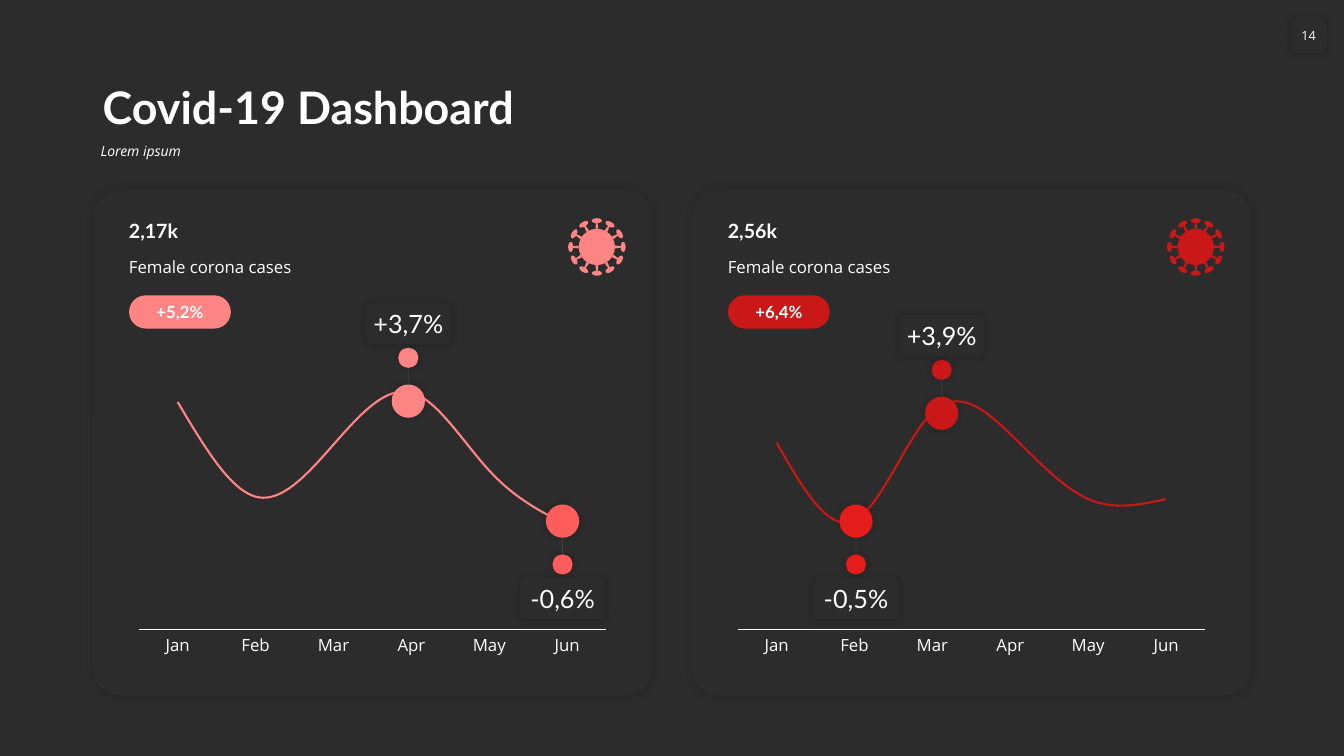
from math import cos, radians, sin

from lxml.etree import SubElement
from pptx import Presentation
from pptx.chart.data import CategoryChartData
from pptx.dml.color import RGBColor
from pptx.enum.chart import XL_CHART_TYPE as Chart, XL_TICK_MARK as Tick
from pptx.enum.shapes import MSO_CONNECTOR as Link, MSO_SHAPE as Kind
from pptx.enum.text import MSO_ANCHOR as Anchor, PP_ALIGN as Align
from pptx.oxml import parse_xml
from pptx.oxml.ns import nsdecls, qn
from pptx.util import Inches, Pt

DARK = RGBColor(0x2C, 0x2C, 0x2C)
WHITE = RGBColor(0xFF, 0xFF, 0xFF)
PINK = RGBColor(0xFF, 0x85, 0x85)
CORAL = RGBColor(0xFF, 0x5C, 0x5C)
RED = RGBColor(0xCA, 0x18, 0x18)
SCARLET = RGBColor(0xE4, 0x1C, 0x1C)
HEAD, BODY = "Lato", "Open Sans"
GLOW = {"alpha": 20, "blur": 5, "dist": 0}
SOFT = {"alpha": 15, "blur": 6, "dist": 1}
MONTHS = ["Jan", "Feb", "Mar", "Apr", "May", "Jun"]
CARDS = [
    {"left": 0.92, "total": "2,17k", "rate": "+5,2%", "color": PINK, "top": 110,
     "values": [96, 56, 78, 100, 67, 44],
     "marks": [(4.05, 3.98, -1, "+3,7%", PINK), (5.58, 5.17, 1, "-0,6%", CORAL)]},
    {"left": 6.86, "total": "2,56k", "rate": "+6,4%", "color": RED, "top": 120,
     "values": [86, 50, 100, 90, 60, 60],
     "marks": [(9.34, 4.1, -1, "+3,9%", RED), (8.49, 5.17, 1, "-0,5%", SCARLET)]},
]


def style(item, **values):
    """Set each named format value on the item."""
    for name, value in values.items():
        setattr(item, name, value)


def write(shape, text, size, face, frame=None, para=None, **font):
    """Put one formatted line of text in a shape."""
    area = shape.text_frame
    style(area, **{"word_wrap": True, **(frame or {})})
    line = area.paragraphs[0]
    style(line, **(para or {}))
    run = line.add_run()
    run.text = text
    style(run.font, size=Pt(size), name=face, **font)
    run.font.color.rgb = WHITE


def label(slide, box, *args, **kwargs):
    """Add a text box."""
    write(slide.shapes.add_textbox(*map(Inches, box)), *args, **kwargs)


def center(slide, shape, text, size, face, side=0.0, edge=0.0, **font):
    """Write centred text with the given insets."""
    frame = {"vertical_anchor": Anchor.MIDDLE,
             "margin_left": Inches(side), "margin_right": Inches(side),
             "margin_top": Inches(edge), "margin_bottom": Inches(edge)}
    write(shape, text, size, face, frame, {"alignment": Align.CENTER}, **font)


def block(shapes, kind, box, color, adj=None, shade=None, turn=0):
    """Add a filled shape without outline."""
    shape = shapes.add_shape(kind, *map(Inches, box))
    shape.fill.solid()
    shape.fill.fore_color.rgb = color
    shape.line.fill.background()
    shape.shadow.inherit = False
    shape.rotation = turn
    if adj is not None:
        shape.adjustments[0] = adj
    if shade:
        cast = SubElement(shape.element.spPr.find(qn("a:effectLst")), qn("a:outerShdw"),
                          blurRad=str(Pt(shade["blur"])), dist=str(Pt(shade["dist"])),
                          dir=str(45 * 60000), algn="ctr", rotWithShape="0")
        tone = SubElement(cast, qn("a:srgbClr"), val="000000")
        SubElement(tone, qn("a:alpha"), val=str(shade["alpha"] * 1000))
    return shape


def mid(x, y, wide, high):
    """Return the box around a centre point."""
    return x - wide / 2, y - high / 2, wide, high


def stem(slide, x, start, end):
    """Add a faint vertical line."""
    line = slide.shapes.add_connector(Link.STRAIGHT, *map(Inches, (x, start, x, end)))
    line.line.width = Pt(0.5)
    line.line.color.rgb = WHITE
    props = line.element.spPr
    SubElement(next(props.iter(qn("a:srgbClr"))), qn("a:alpha"), val="10000")
    SubElement(props, qn("a:effectLst"))


def mark(slide, x, y, way, text, color):
    """Add a marked point with its value above or below."""
    block(slide.shapes, Kind.OVAL, mid(x, y, 0.33, 0.33), color, shade=GLOW)
    stem(slide, x, y + way * 0.17, y + way * 0.33)
    block(slide.shapes, Kind.OVAL, mid(x, y + way * 0.43, 0.2, 0.2), color, shade=GLOW)
    tag = block(slide.shapes, Kind.ROUNDED_RECTANGLE,
                mid(x, y + way * 0.77, 0.85, 0.41), DARK, shade=GLOW)
    center(slide, tag, text, 18, HEAD, 0.04, 0.05)


def curve(slide, left, values, top, color):
    """Add a smooth line chart of the months."""
    data = CategoryChartData()
    data.categories = MONTHS
    data.add_series("Series 1", values)
    box = map(Inches, (left, 3.6, 4.83, 2.97))
    chart = slide.shapes.add_chart(Chart.LINE, *box, data).chart
    style(chart, has_legend=False, has_title=False)
    style(chart.font, size=Pt(12), name=BODY)
    chart.font.color.rgb = WHITE
    style(chart.value_axis, visible=False, has_major_gridlines=False,
          minimum_scale=0, maximum_scale=top)
    axis = chart.category_axis
    style(axis, major_tick_mark=Tick.NONE, minor_tick_mark=Tick.NONE)
    axis.format.line.color.rgb = WHITE
    axis.format.line.width = Pt(0.75)
    plot = chart.plots[0]
    plot.vary_by_categories = False
    line = plot.series[0]
    line.smooth = True
    line.format.line.color.rgb = color
    line.format.line.width = Pt(1.5)
    area = chart.element.find(".//" + qn("c:plotArea"))
    for old in area.findall(qn("c:layout")):
        area.remove(old)
    parts = {"layoutTarget": "inner", "xMode": "edge", "yMode": "edge",
             "x": 0.02, "y": 0.02, "w": 0.96, "h": 0.87}
    inner = "".join(f'<c:{name} val="{value}"/>' for name, value in parts.items())
    area.insert(0, parse_xml(f'<c:layout {nsdecls("c")}><c:manualLayout>{inner}'
                             '</c:manualLayout></c:layout>'))


def virus(slide, x, y, color):
    """Add a round body with a ring of twelve spikes."""
    shapes = slide.shapes.add_group_shape().shapes
    block(shapes, Kind.OVAL, mid(x, y, 0.36, 0.36), color)
    for turn in range(0, 360, 30):
        across, up = sin(radians(turn)), cos(radians(turn))
        for kind, reach, wide, high, adj in ((Kind.OVAL, 0.26, 0.1, 0.05, None),
                                             (Kind.TRAPEZOID, 0.21, 0.03, 0.06, 0.27)):
            spot = mid(x + reach * across, y - reach * up, wide, high)
            block(shapes, kind, spot, color, adj, turn=turn)


def card(slide, left, total, rate, color, top, values, marks):
    """Add one panel with its figures and chart."""
    block(slide.shapes, Kind.ROUNDED_RECTANGLE, (left, 1.88, 5.55, 5.02), DARK, 0.054, SOFT)
    label(slide, (left + 0.26, 2.11, 5.01, 0.34), total, 14, HEAD,
          {"vertical_anchor": Anchor.BOTTOM}, bold=True)
    label(slide, (left + 0.26, 2.5, 5.01, 0.3), "Female corona cases", 12, BODY)
    pill = block(slide.shapes, Kind.ROUNDED_RECTANGLE,
                 (left + 0.36, 2.93, 1.01, 0.33), color, 0.5)
    center(slide, pill, rate, 12, HEAD, bold=True)
    curve(slide, left + 0.36, values, top, color)
    for point in marks:
        mark(slide, *point)
    virus(slide, left + 5, 2.45, color)


def main():
    """Build the dashboard slide."""
    deck = Presentation()
    style(deck, slide_width=Inches(13.33), slide_height=Inches(7.5))
    slide = deck.slides.add_slide(deck.slide_layouts[6])
    slide.background.fill.solid()
    slide.background.fill.fore_color.rgb = DARK
    label(slide, (0.92, 0.58, 11.5, 0.8), "Covid-19 Dashboard", 32, HEAD,
          {"vertical_anchor": Anchor.BOTTOM}, {"line_spacing": 0.9}, bold=True)
    label(slide, (0.9, 1.38, 11.52, 0.36), "Lorem ipsum", 10, BODY,
          para={"line_spacing": 0.9, "space_before": Pt(10)}, italic=True)
    page = block(slide.shapes, Kind.ROUNDED_RECTANGLE, (12.8, 0.18, 0.36, 0.35),
                 DARK, 0.267, GLOW)
    center(slide, page, "14", 9, BODY, edge=0.05)
    for info in CARDS:
        card(slide, **info)
    deck.save("out.pptx")


if __name__ == "__main__":
    main()
